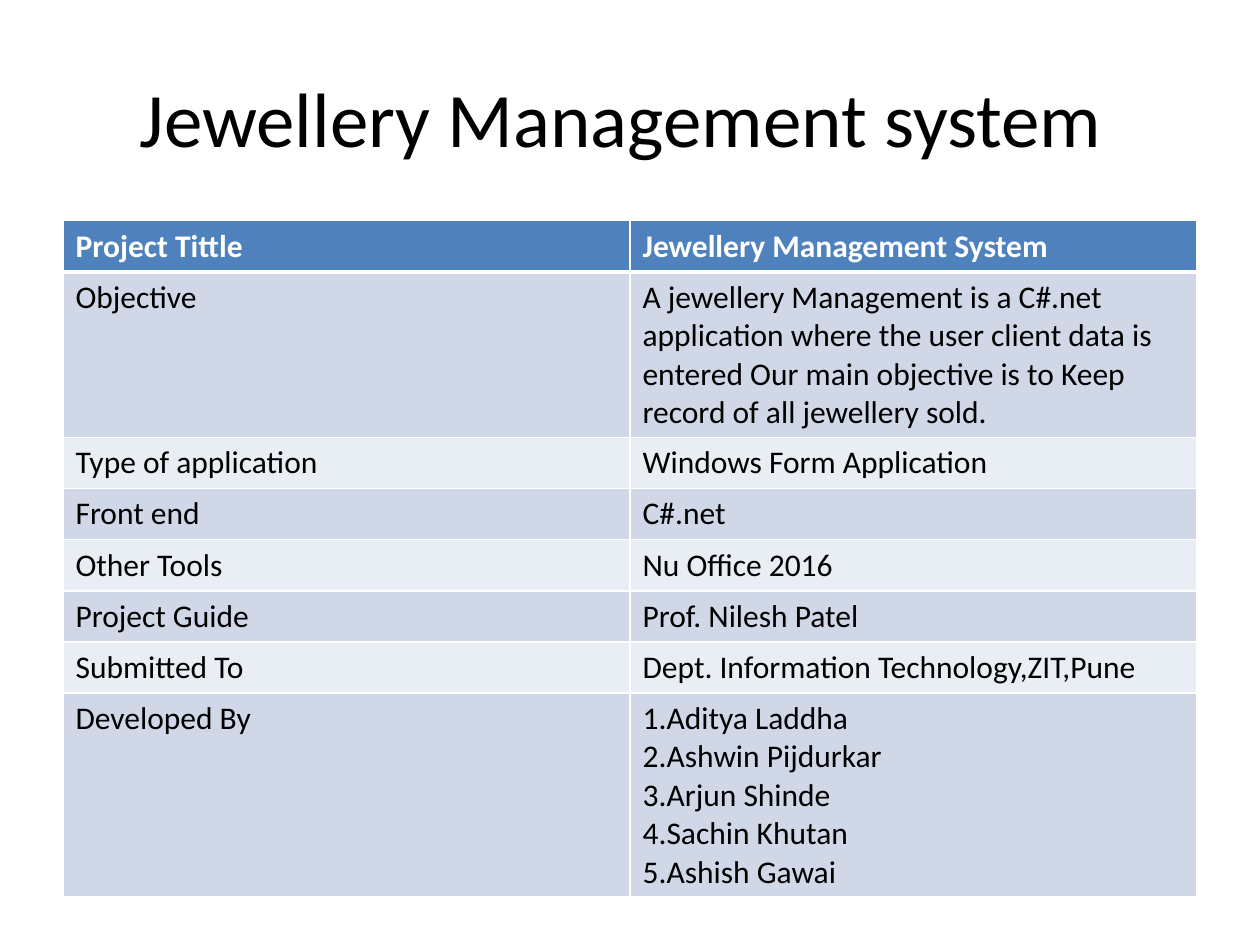
from dataclasses import dataclass

from lxml import etree
from pptx import Presentation
from pptx.dml.color import RGBColor
from pptx.enum import text
from pptx.oxml.ns import qn
from pptx.util import Cm, Pt

TITLE = "Jewellery Management system "
# Label, value, number of text lines the value takes
ROWS = [
    ("Project Tittle", "Jewellery Management System", 1),
    ("Objective", "A jewellery Management is a C#.net application where the user "
                  "client data is entered Our main objective is to Keep record of "
                  "all jewellery sold.", 4),
    ("Type of application", "Windows Form Application", 1),
    ("Front end", "C#.net", 1),
    ("Other Tools", "Nu Office 2016", 1),
    ("Project Guide", "Prof. Nilesh Patel", 1),
    ("Submitted To", "Dept. Information Technology,ZIT,Pune", 1),
    ("Developed By", "1.Aditya Laddha\n2.Ashwin Pijdurkar\n3.Arjun Shinde\n"
                     "4.Sachin Khutan\n5.Ashish Gawai", 5),
]


@dataclass(frozen=True)
class Theme:
    font: str = "Calibri"
    title_size: int = 44
    body_size: int = 18
    ink: str = "000000"
    light: str = "FFFFFF"
    header: str = "4F81BD"
    bands: tuple = ("D0D8E8", "E9EDF4")
    border: int = 1
    header_border: int = 3


THEME = Theme()
LEFT, WIDTH = Cm(1.27), Cm(22.86)
TABLE_TOP = Cm(4.45)
ROW_HEIGHT, EXTRA_LINE = Cm(1.03), Cm(0.77)


def format_text(text_frame, size, color, bold=False):
    for paragraph in text_frame.paragraphs:
        for run in paragraph.runs:
            run.font.name = THEME.font
            run.font.size = Pt(size)
            run.font.bold = bold
            run.font.color.rgb = RGBColor.from_string(color)


def add_borders(cell, bottom):
    """Draw the four cell borders; call before the fill, which must follow them."""
    properties = cell._tc.get_or_add_tcPr()
    for side in "LRTB":
        points = bottom if side == "B" else THEME.border
        line = etree.SubElement(properties, qn(f"a:ln{side}"), w=str(Pt(points)))
        fill = etree.SubElement(line, qn("a:solidFill"))
        etree.SubElement(fill, qn("a:srgbClr"), val=THEME.light)


def add_title(slide):
    box = slide.shapes.add_textbox(LEFT, Cm(0.76), WIDTH, Cm(3.18))
    frame = box.text_frame
    frame.word_wrap = True
    frame.vertical_anchor = text.MSO_ANCHOR.MIDDLE
    frame.text = TITLE
    frame.paragraphs[0].alignment = text.PP_ALIGN.CENTER
    format_text(frame, THEME.title_size, THEME.ink)


def add_project_table(slide):
    heights = [ROW_HEIGHT + (lines - 1) * EXTRA_LINE for *_, lines in ROWS]
    table = slide.shapes.add_table(
        len(ROWS), 2, LEFT, TABLE_TOP, WIDTH, sum(heights)).table
    for index, (*values, _) in enumerate(ROWS):
        table.rows[index].height = heights[index]
        is_header = index == 0
        fill = THEME.header if is_header else THEME.bands[(index - 1) % 2]
        color = THEME.light if is_header else THEME.ink
        bottom = THEME.header_border if is_header else THEME.border
        for cell, value in zip(table.rows[index].cells, values):
            cell.text_frame.text = value
            format_text(cell.text_frame, THEME.body_size, color, is_header)
            add_borders(cell, bottom)
            cell.fill.solid()
            cell.fill.fore_color.rgb = RGBColor.from_string(fill)


def main():
    presentation = Presentation()
    presentation.slide_width, presentation.slide_height = Cm(25.4), Cm(19.05)
    slide = presentation.slides.add_slide(presentation.slide_layouts[6])
    add_title(slide)
    add_project_table(slide)
    presentation.save("out.pptx")


if __name__ == "__main__":
    main()
